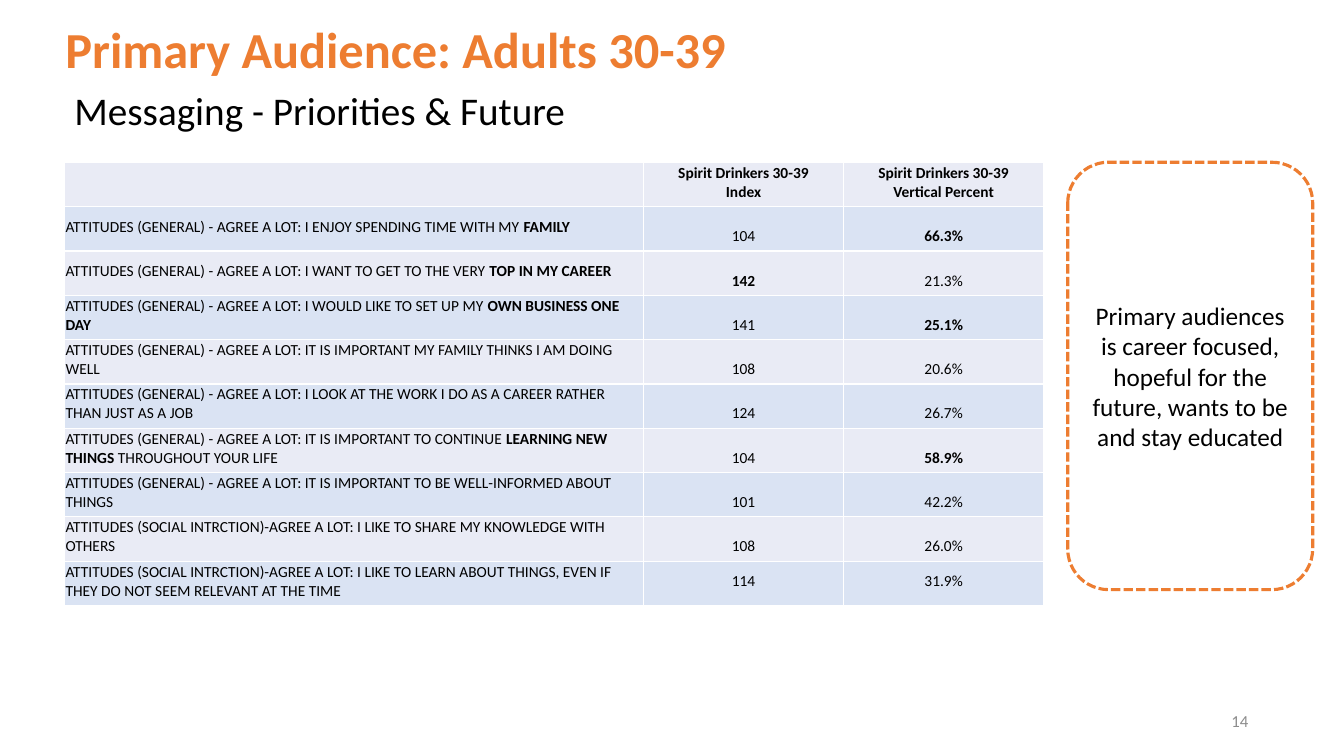
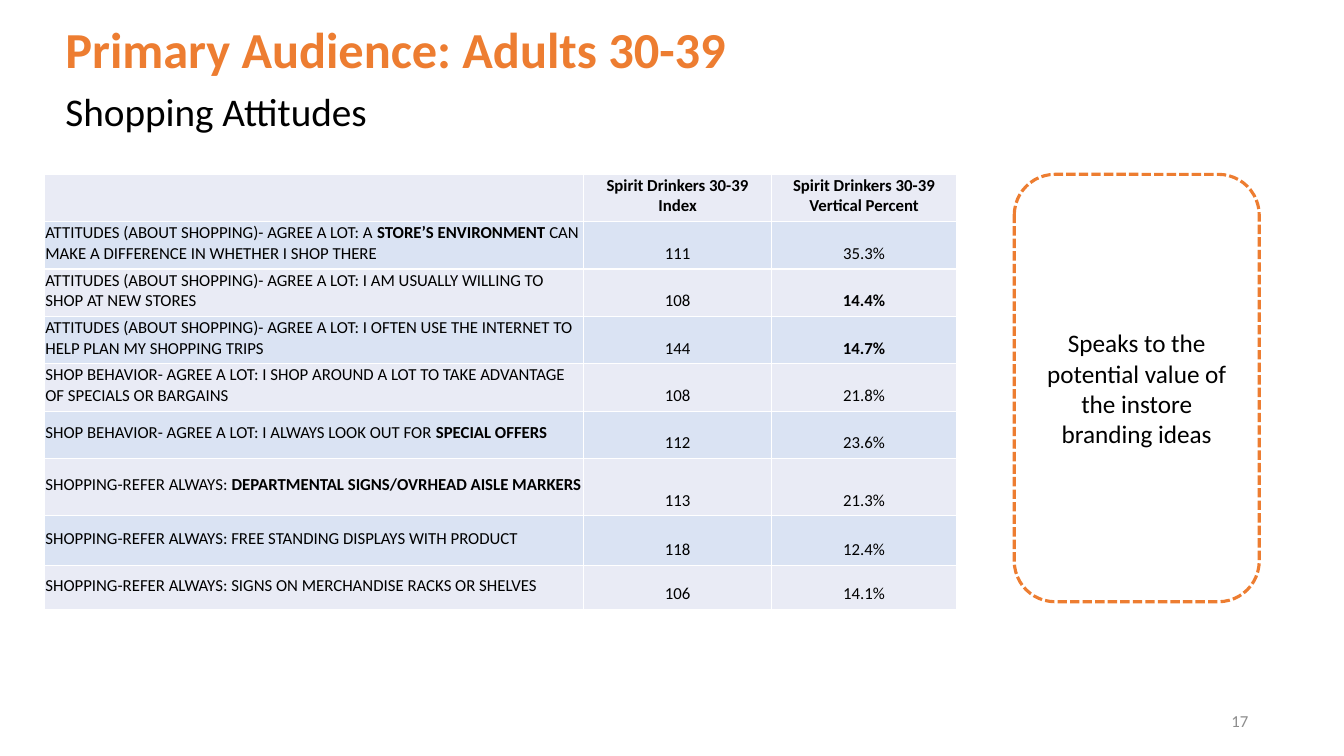
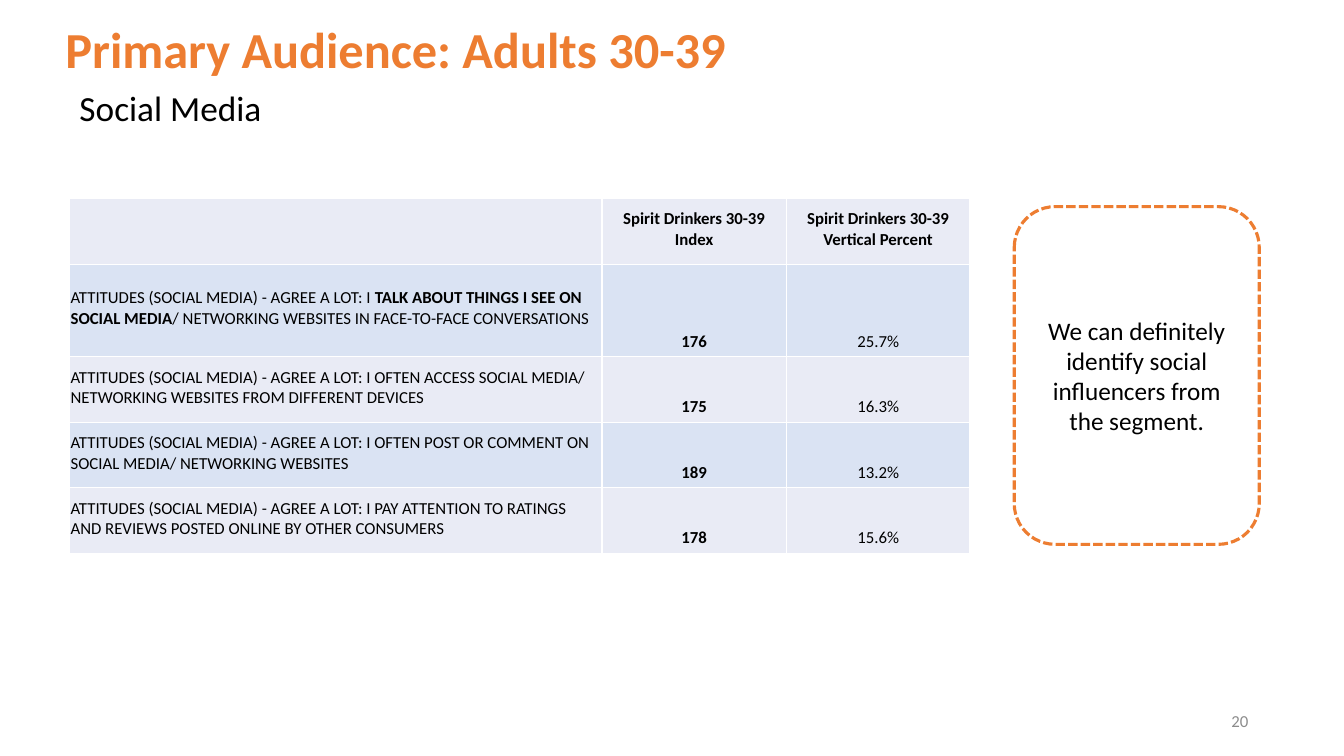
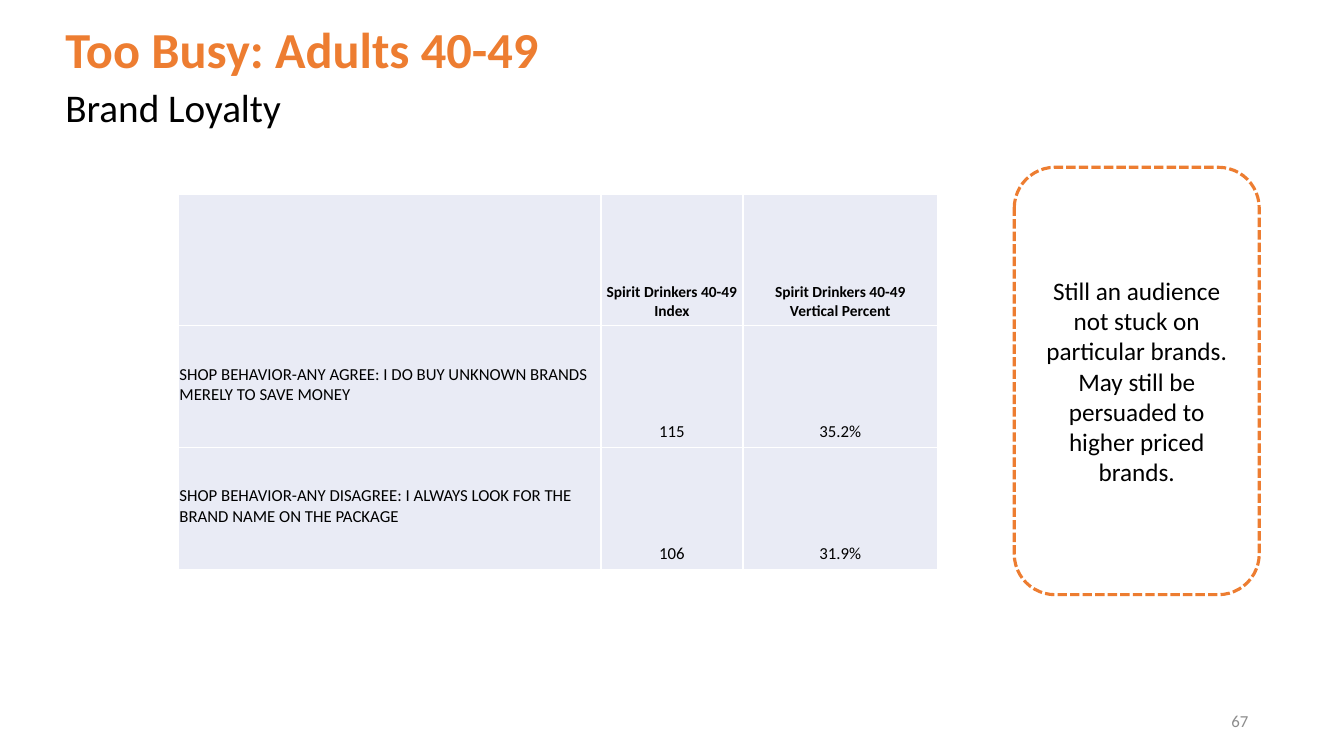
from dataclasses import dataclass

from lxml import etree
from pptx import Presentation
from pptx import util as u
from pptx.dml.color import RGBColor
from pptx.enum import dml, shapes, text as t
from pptx.oxml import ns


@dataclass(frozen=True)
class Theme:
    """Colours and type sizes of the deck."""
    font: str = "Calibri"
    accent: str = "ED7D31"
    ink: str = "000000"
    muted: str = "8C8C8C"
    paper: str = "FFFFFF"
    pale: str = "E9EBF5"
    band: str = "DAE3F3"
    title: float = 36
    subtitle: float = 28
    callout: float = 18
    cell: float = 12
    small_cell: float = 11
    number: float = 12


THEME = Theme()
LEFT, CENTER, RIGHT = t.PP_ALIGN.LEFT, t.PP_ALIGN.CENTER, t.PP_ALIGN.RIGHT
TOP, MIDDLE, BOTTOM = t.MSO_ANCHOR.TOP, t.MSO_ANCHOR.MIDDLE, t.MSO_ANCHOR.BOTTOM


def inches(values):
    return [u.Inches(value) for value in values]


def write(frame, text, size, color=THEME.ink, bold=False, align=LEFT, spacing=None):
    """Fill a text frame: one paragraph a line, **marks** switch bold."""
    for index, line in enumerate(text.split("\n")):
        para = frame.paragraphs[0] if index == 0 else frame.add_paragraph()
        para.alignment = align
        if spacing:
            para.line_spacing = spacing
        for position, part in enumerate(line.split("**")):
            if not part:
                continue
            span = para.add_run()
            span.text = part
            span.font.name = THEME.font
            span.font.size = u.Pt(size)
            span.font.bold = bold or position % 2 == 1
            span.font.color.rgb = RGBColor.from_string(color)


def add_borders(cell, color, width):
    """Draw all four sides of a cell; borders come before the fill."""
    properties = cell._tc.get_or_add_tcPr()
    for index, side in enumerate(("lnL", "lnR", "lnT", "lnB")):
        line = etree.Element(ns.qn(f"a:{side}"), w=str(u.Pt(width)))
        fill = etree.SubElement(line, ns.qn("a:solidFill"))
        etree.SubElement(fill, ns.qn("a:srgbClr"), val=color)
        properties.insert(index, line)


class DeckBuilder:
    def __init__(self, theme):
        self.theme = theme
        self.deck = Presentation()
        self.deck.slide_width, self.deck.slide_height = inches((13.33, 7.5))
        self.page = None

    def start_page(self, title, number):
        """Add a blank page with the shared title and page number."""
        self.page = self.deck.slides.add_slide(self.deck.slide_layouts[6])
        self.add_label((0.55, 0.14, 11.5, 0.7), title, anchor=BOTTOM, spacing=0.9,
                       size=self.theme.title, color=self.theme.accent, bold=True)
        self.add_label((9.48, 6.95, 3, 0.4), number, size=self.theme.number,
                       color=self.theme.muted, align=RIGHT)

    def add_label(self, place, text, anchor=MIDDLE, **style):
        frame = self.page.shapes.add_textbox(*inches(place)).text_frame
        frame.word_wrap = True
        frame.vertical_anchor = anchor
        write(frame, text, **style)

    def add_subtitle(self, place, text, anchor=MIDDLE, size=THEME.subtitle):
        self.add_label(place, text, anchor=anchor, size=size, spacing=0.9)

    def add_callout(self, place, text):
        box = self.page.shapes.add_shape(shapes.MSO_SHAPE.ROUNDED_RECTANGLE, *inches(place))
        box.shadow.inherit = False
        box.fill.solid()
        box.fill.fore_color.rgb = RGBColor.from_string(self.theme.paper)
        box.line.color.rgb = RGBColor.from_string(self.theme.accent)
        box.line.width = u.Pt(2.25)
        box.line.dash_style = dml.MSO_LINE.SQUARE_DOT
        box.text_frame.word_wrap = True
        box.text_frame.vertical_anchor = MIDDLE
        write(box.text_frame, text, size=self.theme.callout, align=CENTER)

    def add_table(self, corner, columns, heights, audience, rows, size=THEME.cell,
                  header_size=None, header_anchor=MIDDLE, banded=True, middle_rows=()):
        """Statements on the left, index and percent on the right."""
        header = ("", f"{audience}\nIndex", f"{audience}\nVertical Percent")
        records = [header, *rows]
        place = inches((*corner, sum(columns), sum(heights)))
        table = self.page.shapes.add_table(len(records), len(columns), *place).table
        table.first_row = table.horz_banding = False
        for column, width in zip(table.columns, inches(columns)):
            column.width = width
        for row, height in zip(table.rows, inches(heights)):
            row.height = height

        for row_index, record in enumerate(records):
            is_header = row_index == 0
            fill = self.theme.band if banded and row_index % 2 else self.theme.pale
            for column_index, text in enumerate(record):
                cell = table.cell(row_index, column_index)
                cell.margin_left = cell.margin_top = cell.margin_right = u.Inches(0.01)
                cell.margin_bottom = u.Inches(0.05)
                if is_header:
                    cell.vertical_anchor = header_anchor
                elif column_index == 0 or row_index in middle_rows:
                    cell.vertical_anchor = MIDDLE
                else:
                    cell.vertical_anchor = BOTTOM
                cell.fill.solid()
                cell.fill.fore_color.rgb = RGBColor.from_string(fill)
                add_borders(cell, self.theme.paper, 1)
                write(cell.text_frame, text, bold=is_header,
                      size=header_size or size if is_header else size,
                      align=CENTER if column_index else LEFT)


# Table content: statement, index, vertical percent
GENERAL = "ATTITUDES (GENERAL) - AGREE A LOT: "
SOCIAL = "ATTITUDES (SOCIAL INTRCTION)-AGREE A LOT: "
SHOPPING = "ATTITUDES (ABOUT SHOPPING)- AGREE A LOT: "
BEHAVIOR = "SHOP BEHAVIOR- AGREE A LOT: "
REFER = "SHOPPING-REFER ALWAYS: "
MEDIA = "ATTITUDES (SOCIAL MEDIA) - AGREE A LOT: "

PRIORITY_ROWS = [
    (GENERAL + "I ENJOY SPENDING TIME WITH MY **FAMILY**", "104", "**66.3%**"),
    (GENERAL + "I WANT TO GET TO THE VERY **TOP IN MY CAREER**", "**142**", "21.3%"),
    (GENERAL + "I WOULD LIKE TO SET UP MY **OWN BUSINESS ONE DAY**", "141", "**25.1%**"),
    (GENERAL + "IT IS IMPORTANT MY FAMILY THINKS I AM DOING WELL", "108", "20.6%"),
    (GENERAL + "I LOOK AT THE WORK I DO AS A CAREER RATHER THAN JUST AS A JOB",
     "124", "26.7%"),
    (GENERAL + "IT IS IMPORTANT TO CONTINUE **LEARNING NEW THINGS **THROUGHOUT YOUR LIFE",
     "104", "**58.9%**"),
    (GENERAL + "IT IS IMPORTANT TO BE WELL-INFORMED ABOUT THINGS", "101", "42.2%"),
    (SOCIAL + "I LIKE TO SHARE MY KNOWLEDGE WITH OTHERS", "108", "26.0%"),
    (SOCIAL + "I LIKE TO LEARN ABOUT THINGS, EVEN IF THEY DO NOT SEEM RELEVANT AT THE TIME",
     "114", "31.9%"),
]
SHOPPING_ROWS = [
    (SHOPPING + "A **STORE’S ENVIRONMENT **CAN MAKE A DIFFERENCE IN WHETHER I SHOP THERE",
     "111", "35.3%"),
    (SHOPPING + "I AM USUALLY WILLING TO SHOP AT NEW STORES", "108", "**14.4%**"),
    (SHOPPING + "I OFTEN USE THE INTERNET TO HELP PLAN MY SHOPPING TRIPS",
     "144", "**14.7%**"),
    (BEHAVIOR + "I SHOP AROUND A LOT TO TAKE ADVANTAGE OF SPECIALS OR BARGAINS",
     "108", "21.8%"),
    (BEHAVIOR + "I ALWAYS LOOK OUT FOR **SPECIAL OFFERS**", "112", "23.6%"),
    (REFER + "**DEPARTMENTAL SIGNS/OVRHEAD AISLE MARKERS**", "113", "21.3%"),
    (REFER + "FREE STANDING DISPLAYS WITH PRODUCT", "118", "12.4%"),
    (REFER + "SIGNS ON MERCHANDISE RACKS OR SHELVES", "106", "14.1%"),
]
MEDIA_ROWS = [
    (MEDIA + "I **TALK ABOUT THINGS I SEE ON SOCIAL MEDIA**"
     "/ NETWORKING WEBSITES IN FACE-TO-FACE CONVERSATIONS", "**176**", "25.7%"),
    (MEDIA + "I OFTEN ACCESS SOCIAL MEDIA/ NETWORKING WEBSITES FROM DIFFERENT DEVICES",
     "**175**", "16.3%"),
    (MEDIA + "I OFTEN POST OR COMMENT ON SOCIAL MEDIA/ NETWORKING WEBSITES",
     "**189**", "13.2%"),
    (MEDIA + "I PAY ATTENTION TO RATINGS AND REVIEWS POSTED ONLINE BY OTHER CONSUMERS",
     "**178**", "15.6%"),
]
LOYALTY_ROWS = [
    ("SHOP BEHAVIOR-ANY AGREE: I DO BUY UNKNOWN BRANDS MERELY TO SAVE MONEY",
     "115", "35.2%"),
    ("SHOP BEHAVIOR-ANY DISAGREE: I ALWAYS LOOK FOR THE BRAND NAME ON THE PACKAGE",
     "106", "31.9%"),
]


def main():
    builder = DeckBuilder(THEME)
    primary, thirties = "Primary Audience: Adults 30-39", "Spirit Drinkers 30-39"

    # Priorities and future
    builder.start_page(primary, "14")
    builder.add_subtitle((0.64, 0.81, 7.66, 0.61), "Messaging - Priorities & Future")
    builder.add_table((0.64, 1.61), (5.74, 1.99, 1.98), [0.44] * 10, thirties,
                      PRIORITY_ROWS, size=THEME.small_cell, middle_rows=(9,))
    builder.add_callout((10.59, 1.61, 2.43, 4.24),
                        "Primary audiences is career focused, hopeful for the future, "
                        "wants to be and stay educated")

    # Shopping attitudes
    builder.start_page(primary, "17")
    builder.add_subtitle((0.55, 0.87, 9.34, 0.45), "Shopping Attitudes", anchor=TOP)
    builder.add_table((0.44, 1.73), (5.35, 1.86, 1.84), [0.47] * 6 + [0.57, 0.49, 0.44],
                      thirties, SHOPPING_ROWS)
    builder.add_callout((10.06, 1.73, 2.43, 4.24),
                        "Speaks to the potential value of the instore branding ideas")

    # Social media
    builder.start_page(primary, "20")
    builder.add_subtitle((0.69, 0.84, 8.9, 0.5), "Social Media", size=25.2)
    builder.add_table((0.69, 1.97), (5.28, 1.83, 1.82), [0.65, 0.92] + [0.65] * 3,
                      thirties, MEDIA_ROWS)
    builder.add_callout((10.06, 2.05, 2.43, 3.35),
                        "We can definitely identify social influencers from the segment.")

    # Brand loyalty
    builder.start_page("Too Busy: Adults 40-49", "67")
    builder.add_subtitle((0.55, 0.36, 11.5, 1.45), "Brand Loyalty")
    builder.add_table((1.77, 1.93), (4.19, 1.41, 1.93), [1.3, 1.21, 1.21],
                      "Spirit Drinkers 40-49", LOYALTY_ROWS, banded=False,
                      header_size=THEME.small_cell, header_anchor=BOTTOM)
    builder.add_callout((10.06, 1.66, 2.43, 4.24),
                        "Still an audience not stuck on particular brands. "
                        "May still be persuaded to higher priced brands.")

    builder.deck.save("out.pptx")


if __name__ == "__main__":
    main()
